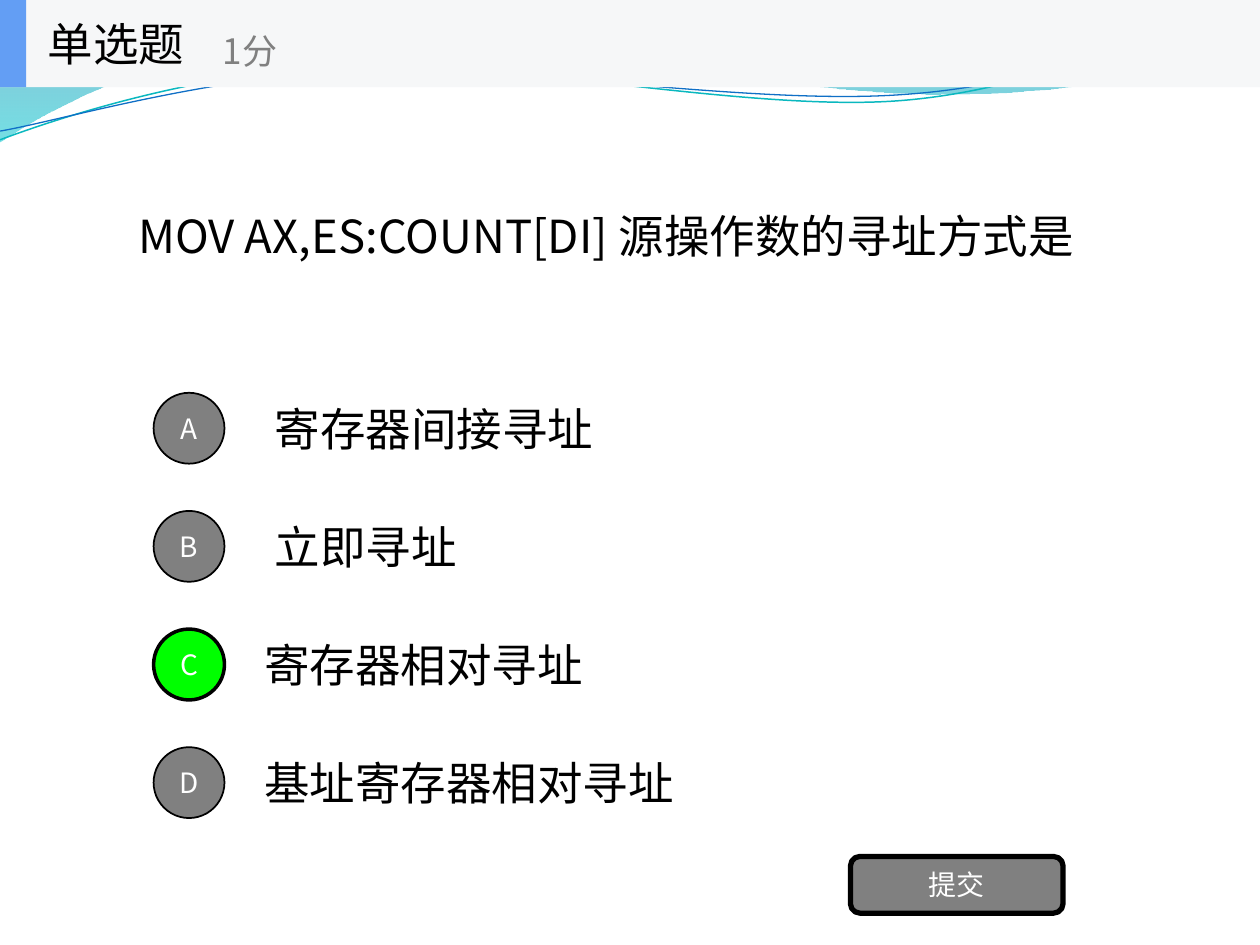
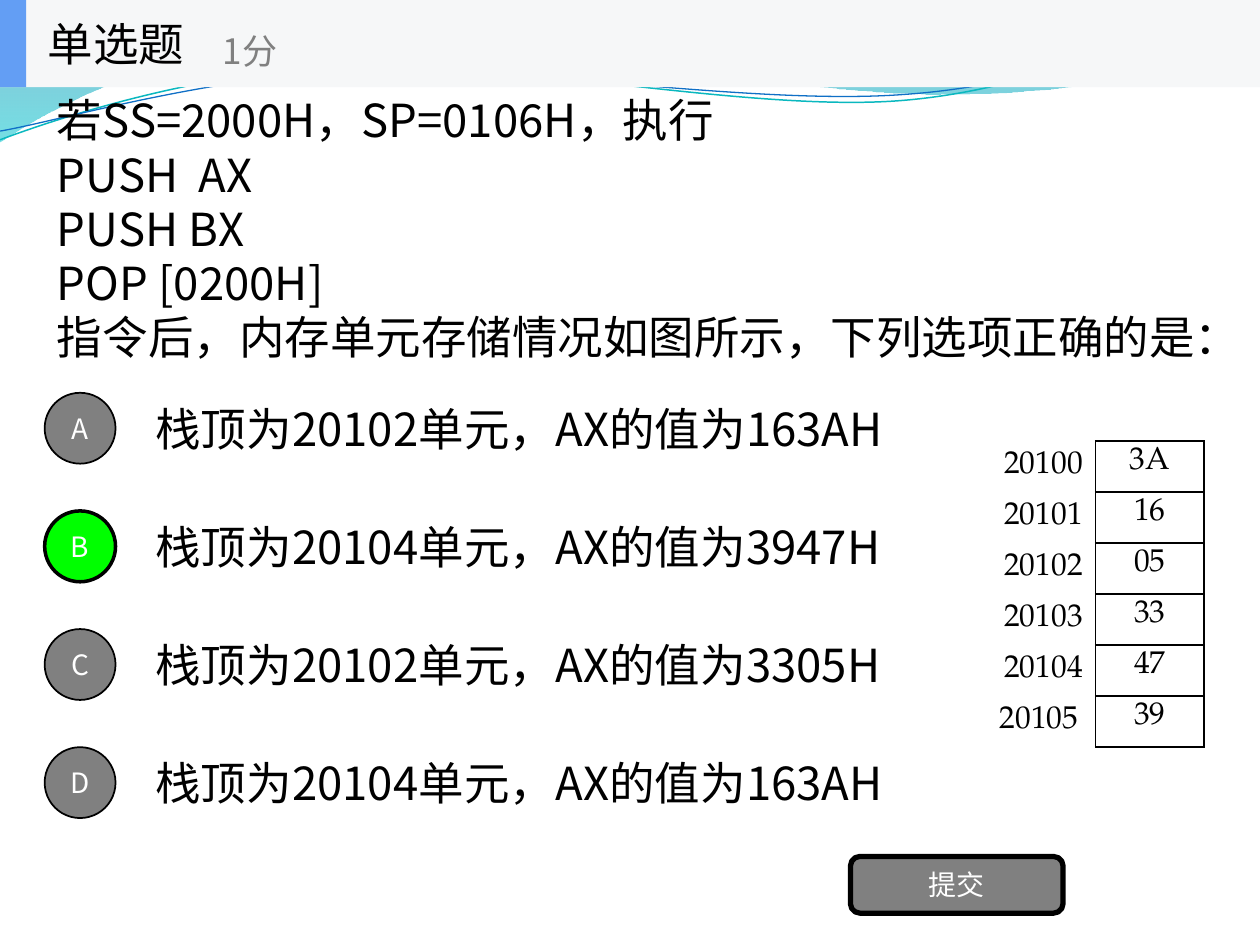
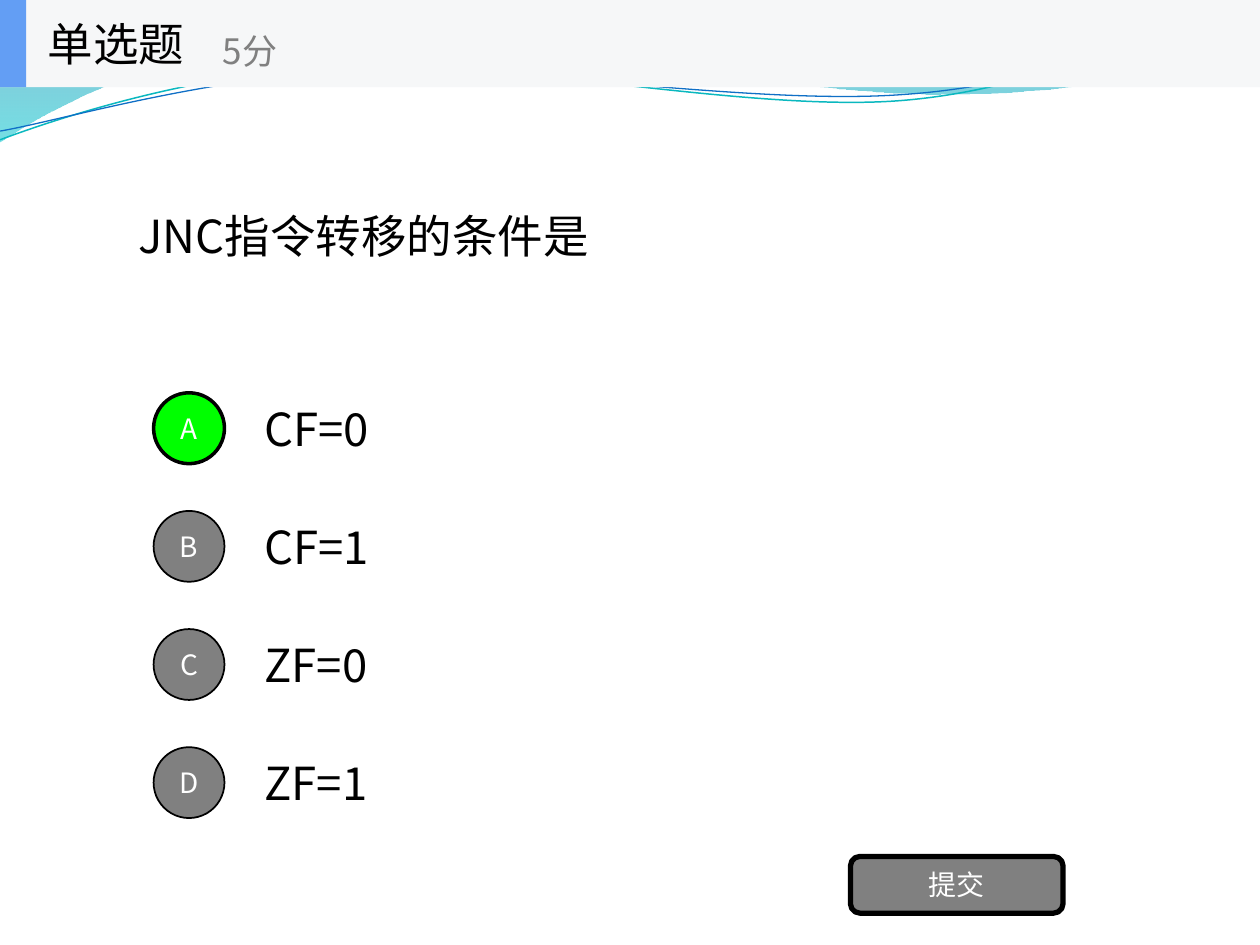
from dataclasses import dataclass
from typing import Any, NamedTuple

from lxml.etree import SubElement
from pptx import Presentation
from pptx.dml.color import RGBColor
from pptx.enum.shapes import MSO_SHAPE
from pptx.enum.text import MSO_ANCHOR, PP_ALIGN
from pptx.oxml.ns import qn
from pptx.util import Pt

SANS = "Noto Sans CJK SC"
SERIF = "TeX Gyre Pagella"
BLACK, WHITE, GRAY, GREEN = "000000", "FFFFFF", "808080", "00FF00"
BAND, ACCENT = "F6F7F8", "639EF4"
SLIDE_WIDTH, SLIDE_HEIGHT, BAND_HEIGHT = 720, 540, 49.8
OPTION_TOP, OPTION_PITCH, OPTION_HEIGHT = 219.4, 67.5, 50.6
BUBBLE_SIZE, BUBBLE_TO_TEXT = 40.5, 56.25
INSET = 7.2


class Box(NamedTuple):
    left: float
    top: float
    width: float
    height: float


class Stop(NamedTuple):
    position: float
    color: str
    opacity: int


@dataclass(frozen=True)
class TextStyle:
    size: float = 26
    color: str = BLACK
    font: str = SANS
    alignment: PP_ALIGN = PP_ALIGN.LEFT
    line_height: float | None = None


@dataclass(frozen=True)
class Wave:
    start: tuple
    segments: tuple
    stops: tuple = ()
    line_color: str = ""
    line_width: float = 0


@dataclass(frozen=True)
class Option:
    text: str
    indent: float = 0


@dataclass(frozen=True)
class Question:
    points: str
    lines: tuple
    options: tuple
    answer: str
    box: Box = Box(72, 49.8, 576, 168.75)
    bubble_left: float = 87.75
    style: TextStyle = TextStyle()
    memory: tuple = ()


WAVES = (
    Wave(
        (0, 0),
        (
            ((316.8, -0.7),),
            ((342.7, 12.2), (478.1, 45.4), (545.8, 45.4)),
            ((614.2, 45.4), (689.8, 18.7), (720, 6.5)),
            ((720.7, 25.9),),
            ((707.8, 31.7), (626.4, 54.7), (537.1, 54)),
            ((447.8, 54), (275, 20.2), (185, 24.5)),
            ((92.9, 25.9), (33.1, 59.8), (-0.7, 81.4)),
        ),
        stops=(Stop(0, "0074A1", 45), Stop(1, "00C6CF", 55)),
    ),
    Wave(
        (344.9, -0.7),
        (
            ((366.5, 7.9), (491, 44.6), (553.7, 46.8)),
            ((616.3, 49.7), (691.9, 23), (720, 15.1)),
            ((720, 0),),
        ),
        stops=(Stop(0, "00A1A9", 30), Stop(0.8, "008BBF", 45)),
    ),
    Wave(
        (0, 79.9),
        (
            ((34.6, 67), (113.8, 41), (199.4, 37.4)),
            ((284.4, 33.8), (427, 64.1), (513.4, 57.6)),
            ((599.8, 51.1), (675.4, 10.8), (718.6, -1.4)),
        ),
        line_color="0AB8BF",
        line_width=0.85,
    ),
    Wave(
        (0, 74.9),
        (
            ((33.8, 69.1), (118.1, 43.9), (203.8, 40.3)),
            ((290.2, 36.7), (429.8, 60.5), (516.2, 54)),
            ((601.9, 48.2), (677.5, 15.1), (720, 4.3)),
        ),
        line_color="0F6FC6",
        line_width=0.75,
    ),
)

QUESTIONS = (
    Question(
        "1分",
        ("MOV AX,ES:COUNT[DI] 源操作数的寻址方式是",),
        (
            Option("寄存器间接寻址", 5.8),
            Option("立即寻址", 5.8),
            Option("寄存器相对寻址"),
            Option("基址寄存器相对寻址"),
        ),
        answer="C",
    ),
    Question(
        "1分",
        (
            "若SS=2000H，SP=0106H，执行",
            "PUSH  AX",
            "PUSH BX",
            "POP [0200H]",
            "指令后，内存单元存储情况如图所示，下列选项正确的是：",
        ),
        (
            Option("栈顶为20102单元，AX的值为163AH"),
            Option("栈顶为20104单元，AX的值为3947H"),
            Option("栈顶为20102单元，AX的值为3305H"),
            Option("栈顶为20104单元，AX的值为163AH"),
        ),
        answer="B",
        box=Box(25.5, 54.5, 684.5, 152),
        bubble_left=25.5,
        style=TextStyle(line_height=31),
        memory=(
            ("20100", "3A"),
            ("20101", "16"),
            ("20102", "05"),
            ("20103", "33"),
            ("20104", "47"),
            ("20105", "39"),
        ),
    ),
    Question(
        "5分",
        ("JNC指令转移的条件是",),
        (Option("CF=0"), Option("CF=1"), Option("ZF=0"), Option("ZF=1")),
        answer="A",
    ),
)


def rgb(color: str) -> RGBColor:
    return RGBColor.from_string(color)


def apply_format(target: Any, values: dict) -> None:
    for name, value in values.items():
        setattr(target, name, value)


def points(lengths: tuple) -> tuple:
    return tuple(Pt(length) for length in lengths)


def write_lines(text_frame: Any, lines: tuple, style: TextStyle) -> None:
    for index, line in enumerate(lines):
        paragraph = text_frame.add_paragraph() if index else text_frame.paragraphs[0]
        paragraph.alignment = style.alignment
        if style.line_height:
            paragraph.line_spacing = Pt(style.line_height)
        run = paragraph.add_run()
        run.text = line
        apply_format(run.font, {"size": Pt(style.size), "name": style.font})
        run.font.color.rgb = rgb(style.color)
        SubElement(run.font._element, qn("a:ea"), typeface=style.font)


def add_text(parent: Any, box: Box, lines: tuple, style: TextStyle,
             indent: float = 0, wrap: bool = True) -> None:
    text_frame = parent.shapes.add_textbox(*points(box)).text_frame
    apply_format(text_frame, {
        "word_wrap": wrap,
        "vertical_anchor": MSO_ANCHOR.MIDDLE,
        "margin_left": Pt(INSET + indent),
    })
    write_lines(text_frame, lines, style)


def add_block(parent: Any, kind: MSO_SHAPE, box: Box, fill: str,
              line_width: float = 0, label: str = "") -> None:
    shape = parent.shapes.add_shape(kind, *points(box))
    shape.shadow.inherit = False
    shape.fill.solid()
    shape.fill.fore_color.rgb = rgb(fill)
    if line_width:
        shape.line.color.rgb = rgb(BLACK)
        shape.line.width = Pt(line_width)
    else:
        shape.line.fill.background()
    if label:
        apply_format(shape.text_frame, {
            "vertical_anchor": MSO_ANCHOR.MIDDLE,
            "margin_left": 0, "margin_right": 0, "margin_top": 0, "margin_bottom": 0,
        })
        write_lines(shape.text_frame, (label,), TextStyle(16, WHITE, alignment=PP_ALIGN.CENTER))


def bend_segments(shape: Any, segments: tuple) -> None:
    line_elements = iter(list(shape._element.iter(qn("a:lnTo"))))
    for segment in segments:
        corners = [next(line_elements) for corner in segment]
        if len(corners) == 1:
            continue
        outline = corners[0].getparent()
        curve = SubElement(outline, qn("a:cubicBezTo"))
        outline.replace(corners[0], curve)
        for corner in corners:
            curve.append(corner[0])
        for corner in corners[1:]:
            outline.remove(corner)


def add_wave(slide: Any, wave: Wave) -> None:
    builder = slide.shapes.build_freeform(*points(wave.start))
    vertices = [points(corner) for segment in wave.segments for corner in segment]
    builder.add_line_segments(vertices, close=bool(wave.stops))
    shape = builder.convert_to_shape()
    bend_segments(shape, wave.segments)
    shape.shadow.inherit = False
    if not wave.stops:
        shape.fill.background()
        shape.line.color.rgb = rgb(wave.line_color)
        shape.line.width = Pt(wave.line_width)
        return
    shape.line.fill.background()
    shape.fill.gradient()
    shape.fill.gradient_angle = 270
    for gradient_stop, stop in zip(shape.fill.gradient_stops, wave.stops):
        gradient_stop.position = stop.position
        gradient_stop.color.rgb = rgb(stop.color)
    for element, stop in zip(list(shape._element.iter(qn("a:srgbClr"))), wave.stops):
        SubElement(element, qn("a:alpha"), val=str(stop.opacity * 1000))


def add_border(cell: Any, sides: str) -> None:
    properties = cell._tc.get_or_add_tcPr()
    for index, side in enumerate(sides):
        line = SubElement(properties, qn(f"a:ln{side}"), w=str(Pt(1)))
        fill = SubElement(line, qn("a:solidFill"))
        SubElement(fill, qn("a:srgbClr"), val=BLACK)
        properties.insert(index, line)


def add_memory_table(slide: Any, memory: tuple) -> None:
    box = Box(564, 252, 124, 29.16 * len(memory))
    table = slide.shapes.add_table(len(memory), 2, *points(box)).table
    apply_format(table, {"first_row": False, "horz_banding": False})
    for row_index, values in enumerate(memory):
        is_last = row_index == len(memory) - 1
        address_alignment = PP_ALIGN.LEFT if is_last else PP_ALIGN.RIGHT
        columns = (
            (address_alignment, MSO_ANCHOR.MIDDLE, "R"),
            (PP_ALIGN.CENTER, MSO_ANCHOR.TOP, "LRTB"),
        )
        for column_index, (alignment, anchor, sides) in enumerate(columns):
            cell = table.cell(row_index, column_index)
            apply_format(cell, {
                "vertical_anchor": anchor, "margin_top": Pt(3.4), "margin_bottom": Pt(1.5),
            } if anchor == MSO_ANCHOR.TOP else {
                "vertical_anchor": anchor, "margin_top": Pt(1.5), "margin_bottom": Pt(1.5),
            })
            cell.fill.background()
            add_border(cell, sides)
            style = TextStyle(18, font=SERIF, alignment=alignment)
            write_lines(cell.text_frame, (values[column_index],), style)


def add_header(slide: Any, score: str) -> None:
    group = slide.shapes.add_group_shape()
    for width, color in ((SLIDE_WIDTH, BAND), (15, ACCENT)):
        add_block(group, MSO_SHAPE.RECTANGLE, Box(0, 0, width, BAND_HEIGHT), color)
    title_box, score_box = Box(20.2, 0, 150, BAND_HEIGHT), Box(120.2, 8.6, 180, 40.5)
    add_text(group, title_box, ("单选题",), TextStyle(), wrap=False)
    add_text(group, score_box, (score,), TextStyle(20, GRAY), wrap=False)


def add_options(slide: Any, question: Question) -> None:
    for index, (letter, option) in enumerate(zip("ABCD", question.options)):
        top = OPTION_TOP + index * OPTION_PITCH
        text_box = Box(question.bubble_left + BUBBLE_TO_TEXT, top, 504, OPTION_HEIGHT)
        add_text(slide, text_box, (option.text,), TextStyle(), option.indent)
        bubble_top = top + (OPTION_HEIGHT - BUBBLE_SIZE) / 2
        bubble = Box(question.bubble_left, bubble_top, BUBBLE_SIZE, BUBBLE_SIZE)
        fill, line_width = (GREEN, 2) if letter == question.answer else (GRAY, 1)
        add_block(slide, MSO_SHAPE.OVAL, bubble, fill, line_width, letter)


def add_question(presentation: Any, question: Question) -> None:
    slide = presentation.slides.add_slide(presentation.slide_layouts[6])
    for wave in WAVES:
        add_wave(slide, wave)
    add_text(slide, question.box, question.lines, question.style)
    add_options(slide, question)
    submit_box = Box(486, 489.4, 121.5, 32.4)
    add_block(slide, MSO_SHAPE.ROUNDED_RECTANGLE, submit_box, GRAY, 3, "提交")
    if question.memory:
        add_memory_table(slide, question.memory)
    add_header(slide, question.points)


def main() -> None:
    presentation = Presentation()
    apply_format(presentation, {
        "slide_width": Pt(SLIDE_WIDTH), "slide_height": Pt(SLIDE_HEIGHT),
    })
    for question in QUESTIONS:
        add_question(presentation, question)
    presentation.save("out.pptx")


if __name__ == "__main__":
    main()
